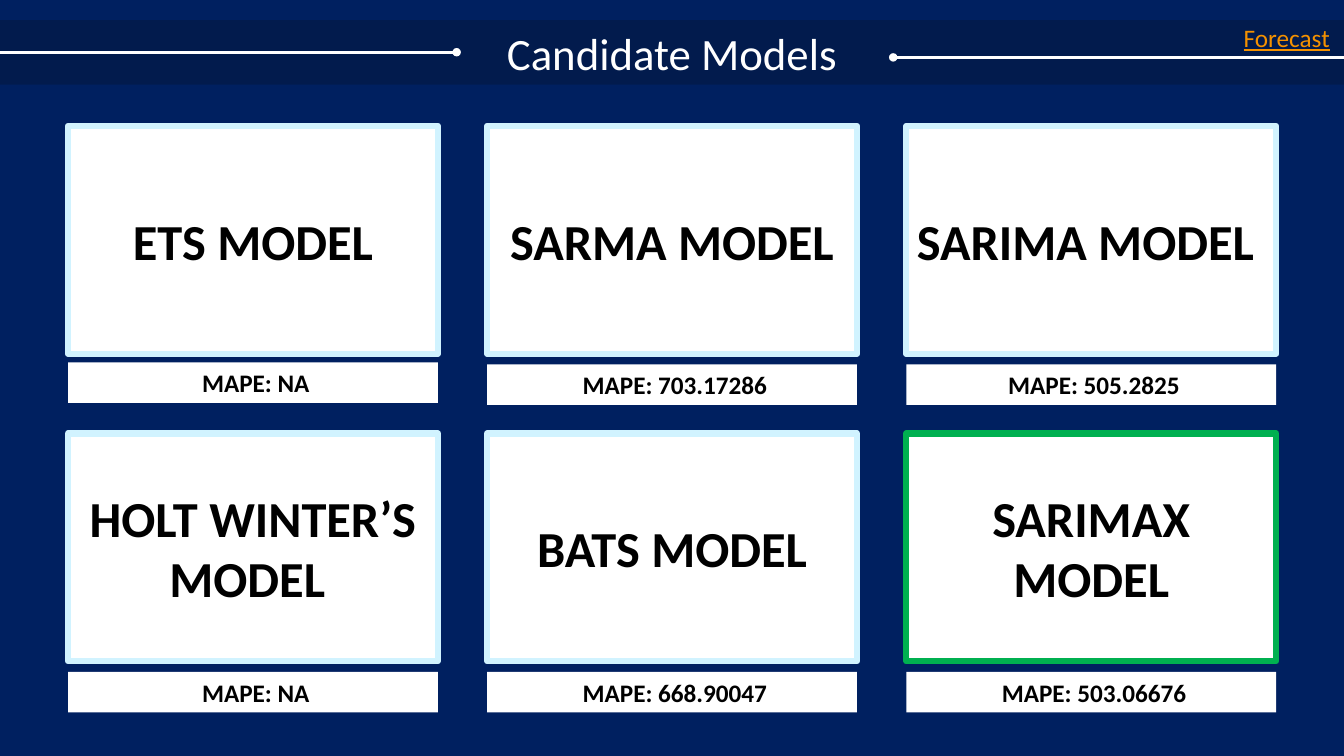
from dataclasses import dataclass

from lxml.etree import SubElement
from pptx import Presentation
from pptx.dml.color import RGBColor
from pptx.enum.shapes import MSO_CONNECTOR, MSO_SHAPE
from pptx.enum.text import MSO_ANCHOR, PP_ALIGN
from pptx.oxml.ns import qn
from pptx.shapes.autoshape import Shape
from pptx.util import Pt

COLORS = {
    "navy": "002060",
    "band": "0D0D0D",
    "white": "FFFFFF",
    "black": "000000",
    "ice": "D1F3FF",
    "green": "00B050",
    "orange": "F49100",
}
SLIDE_W, SLIDE_H = 960, 540
CARD_LEFT, CARD_TOP = 48.6, 90
CARD_W, CARD_H = 264.2, 162.7
COL_STEP, ROW_STEP = 299.4, 219.6
SCORE_OFFSET, SCORE_H = 170.3, 29


@dataclass
class Model:
    name: str
    mape: str
    border: str = "ice"
    score_lift: float = 0


@dataclass
class Rule:
    start: float
    end: float
    y: float
    dot: str


MODELS = [
    Model("ETS MODEL", "NA", score_lift=1.5),
    Model("SARMA MODEL", "703.17286"),
    Model("SARIMA MODEL ", "505.2825"),
    Model("HOLT WINTER’S MODEL ", "NA"),
    Model("BATS MODEL", "668.90047"),
    Model("SARIMAX MODEL", "503.06676", border="green"),
]
RULES = [
    Rule(0, 326.2, 37.3, "tailEnd"),
    Rule(638, SLIDE_W, 41, "headEnd"),
]


def rgb(name: str) -> RGBColor:
    return RGBColor.from_string(COLORS[name])


def write(sp: Shape, text: str, size: float, color: str, bold: bool = False) -> None:
    tf = sp.text_frame
    tf.word_wrap = True
    p = tf.paragraphs[0]
    p.text = text
    p.font.name = "Calibri"
    p.font.size = Pt(size)
    p.font.bold = bold
    p.font.color.rgb = rgb(color)


def add_box(s, x: float, y: float, w: float, h: float, fill: str) -> Shape:
    """Add a filled rectangle with no outline and centred text."""
    sp = s.shapes.add_shape(MSO_SHAPE.RECTANGLE, Pt(x), Pt(y), Pt(w), Pt(h))
    sp.shadow.inherit = False
    sp.fill.solid()
    sp.fill.fore_color.rgb = rgb(fill)
    sp.line.fill.background()
    sp.text_frame.vertical_anchor = MSO_ANCHOR.MIDDLE
    sp.text_frame.paragraphs[0].alignment = PP_ALIGN.CENTER
    return sp


def add_title_band(s) -> None:
    sp = add_box(s, 0, 14.4, SLIDE_W, 46, "band")
    color = sp.fill._xPr.find(qn("a:solidFill"))[0]
    SubElement(color, qn("a:alpha"), val="22000")
    write(sp, "Candidate Models", 32, "white")


def add_rule(s, rule: Rule) -> None:
    """Add a horizontal line with a round dot at one end."""
    line = s.shapes.add_connector(
        MSO_CONNECTOR.STRAIGHT, Pt(rule.start), Pt(rule.y), Pt(rule.end), Pt(rule.y)
    )
    line.line.color.rgb = rgb("white")
    line.line.width = Pt(2)
    SubElement(line.line._get_or_add_ln(), qn(f"a:{rule.dot}"), type="oval")
    SubElement(line._element.spPr, qn("a:effectLst"))


def add_forecast(s) -> None:
    sp = s.shapes.add_textbox(Pt(881.3), Pt(12.2), Pt(78.7), Pt(29))
    write(sp, "Forecast", 18, "orange")
    sp.text_frame.margin_right = 0
    sp.text_frame.paragraphs[0].font.underline = True


def add_model(s, model: Model, x: float, y: float) -> None:
    """Add a model card with its score strip below."""
    card = add_box(s, x, y, CARD_W, CARD_H, "white")
    card.line.color.rgb = rgb(model.border)
    card.line.width = Pt(4.5)
    write(card, model.name, 36, "black", bold=True)
    score_top = y + SCORE_OFFSET - model.score_lift
    score = add_box(s, x, score_top, CARD_W, SCORE_H, "white")
    write(score, f" MAPE: {model.mape}", 18, "black", bold=True)


def main() -> None:
    prs = Presentation()
    prs.slide_width, prs.slide_height = Pt(SLIDE_W), Pt(SLIDE_H)
    s = prs.slides.add_slide(prs.slide_layouts[6])
    s.background.fill.solid()
    s.background.fill.fore_color.rgb = rgb("navy")
    add_title_band(s)
    for rule in RULES:
        add_rule(s, rule)
    add_forecast(s)
    for i, model in enumerate(MODELS):
        row, col = divmod(i, 3)
        add_model(s, model, CARD_LEFT + col * COL_STEP, CARD_TOP + row * ROW_STEP)
    prs.save("out.pptx")


if __name__ == "__main__":
    main()
